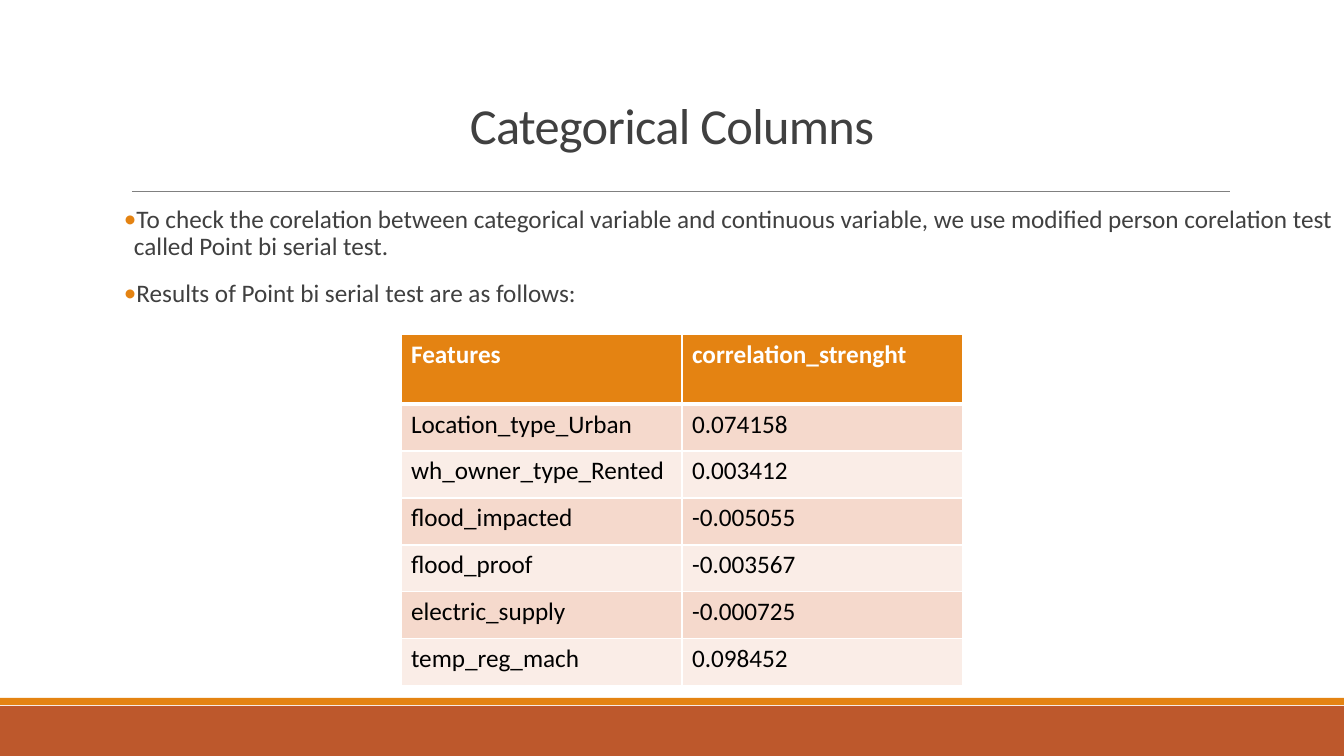
from lxml.etree import SubElement
from pptx import Presentation
from pptx.dml.color import RGBColor
from pptx.enum.shapes import MSO_CONNECTOR, MSO_SHAPE
from pptx.enum.text import MSO_ANCHOR, PP_ALIGN
from pptx.oxml.ns import qn
from pptx.util import Pt

SCALE = 12192000 / 1344  # EMU per px
COLORS = {
    "rust": "BD582C",
    "orange": "E48312",
    "rule": "808080",
    "text": "404040",
    "white": "FFFFFF",
    "black": "000000",
    "band_dark": "F5D9CC",
    "band_light": "FAEDE7",
}
BULLETS = [
    "To check the corelation between categorical variable and continuous variable, "
    "we use modified person corelation test called Point bi serial test.",
    "Results of Point bi serial test are as follows:",
]
CORRELATIONS = [
    ("Features", "correlation_strenght"),
    ("Location_type_Urban", "0.074158"),
    ("wh_owner_type_Rented", "0.003412"),
    ("flood_impacted", "-0.005055"),
    ("flood_proof", "-0.003567"),
    ("electric_supply", "-0.000725"),
    ("temp_reg_mach", "0.098452"),
]


def px(length):
    return round(length * SCALE)


def rgb(name):
    return RGBColor.from_string(COLORS[name])


def write(paragraph, text, size=18, color="text", bold=False, align=PP_ALIGN.LEFT,
          line=None, before=0, after=0, tracking=None, bullet=None):
    """Put formatted text into a paragraph."""
    run = paragraph.add_run()
    run.text = text
    run.font.name = "Calibri"
    run.font.size = Pt(size)
    run.font.bold = bold
    run.font.color.rgb = rgb(color)
    if tracking is not None:
        run.font._element.set("spc", str(round(tracking * 100)))
    paragraph.alignment = align
    paragraph.line_spacing = line
    paragraph.space_before = Pt(before)
    paragraph.space_after = Pt(after)
    if bullet:
        properties = paragraph._p.get_or_add_pPr()
        properties.set("marL", str(px(10)))
        properties.set("indent", str(px(-10)))
        bullet_color = SubElement(properties, qn("a:buClr"))
        SubElement(bullet_color, qn("a:srgbClr"), val=COLORS[bullet])
        SubElement(properties, qn("a:buFont"), typeface="Calibri")
        SubElement(properties, qn("a:buChar"), char="•")


class SlideBuilder:
    def __init__(self, slide):
        self.slide = slide

    def bar(self, left, top, width, height, color):
        shape = self.slide.shapes.add_shape(
            MSO_SHAPE.RECTANGLE, px(left), px(top), px(width), px(height))
        shape.shadow.inherit = False
        shape.fill.solid()
        shape.fill.fore_color.rgb = rgb(color)
        shape.line.fill.background()

    def rule(self, left, right, top, color, weight):
        connector = self.slide.shapes.add_connector(
            MSO_CONNECTOR.STRAIGHT, px(left), px(top), px(right), px(top))
        connector.line.color.rgb = rgb(color)
        connector.line.width = Pt(weight)
        SubElement(connector._element.spPr, qn("a:effectLst"))

    def text(self, left, top, width, height, lines, anchor=MSO_ANCHOR.TOP,
             side_inset=10, **style):
        box = self.slide.shapes.add_textbox(px(left), px(top), px(width), px(height))
        frame = box.text_frame
        frame.word_wrap = True
        frame.vertical_anchor = anchor
        frame.margin_left = frame.margin_right = px(side_inset)
        for index, line_text in enumerate(lines):
            paragraph = frame.add_paragraph() if index else frame.paragraphs[0]
            write(paragraph, line_text, **style)

    def borders(self, cell, **weights):
        properties = cell._tc.get_or_add_tcPr()
        for index, side in enumerate("LRTB"):
            line = SubElement(properties, qn(f"a:ln{side}"),
                              w=str(Pt(weights.get(side, 1))))
            fill = SubElement(line, qn("a:solidFill"))
            SubElement(fill, qn("a:srgbClr"), val=COLORS["white"])
            properties.insert(index, line)

    def table(self, left, top, column_width, header_height, row_height, rows):
        column_count = len(rows[0])
        height = header_height + row_height * (len(rows) - 1)
        table = self.slide.shapes.add_table(
            len(rows), column_count, px(left), px(top),
            px(column_width * column_count), px(height)).table
        for column in table.columns:
            column.width = px(column_width)
        for row_index, values in enumerate(rows):
            header = row_index == 0
            band = "band_dark" if row_index % 2 else "band_light"
            table.rows[row_index].height = px(header_height if header else row_height)
            for column_index, value in enumerate(values):
                cell = table.cell(row_index, column_index)
                cell.fill.solid()
                cell.fill.fore_color.rgb = rgb("orange" if header else band)
                self.borders(cell, B=3 if header else 1, T=3 if row_index == 1 else 1)
                write(cell.text_frame.paragraphs[0], value, bold=header,
                      color="white" if header else "black")


def main():
    presentation = Presentation()
    presentation.slide_width = px(1344)
    presentation.slide_height = px(756)
    builder = SlideBuilder(presentation.slides.add_slide(presentation.slide_layouts[6]))

    # Footer bands and title rule
    builder.bar(0, 706, 1344, 50, "rust")
    builder.bar(0, 698, 1344, 7, "orange")
    builder.rule(132, 1230, 191, "rule", 0.5)

    # Title and bullets
    builder.text(138, 74, 1068, 86, ["Categorical Columns"], anchor=MSO_ANCHOR.BOTTOM,
                 size=36, align=PP_ALIGN.CENTER, line=0.85, tracking=-0.5)
    builder.text(124, 202, 1212, 116, BULLETS, side_inset=0,
                 line=0.9, before=12, after=2, bullet="orange")

    # Correlation results
    builder.table(401, 334, 281, 70, 47, CORRELATIONS)

    presentation.save("out.pptx")


if __name__ == "__main__":
    main()
